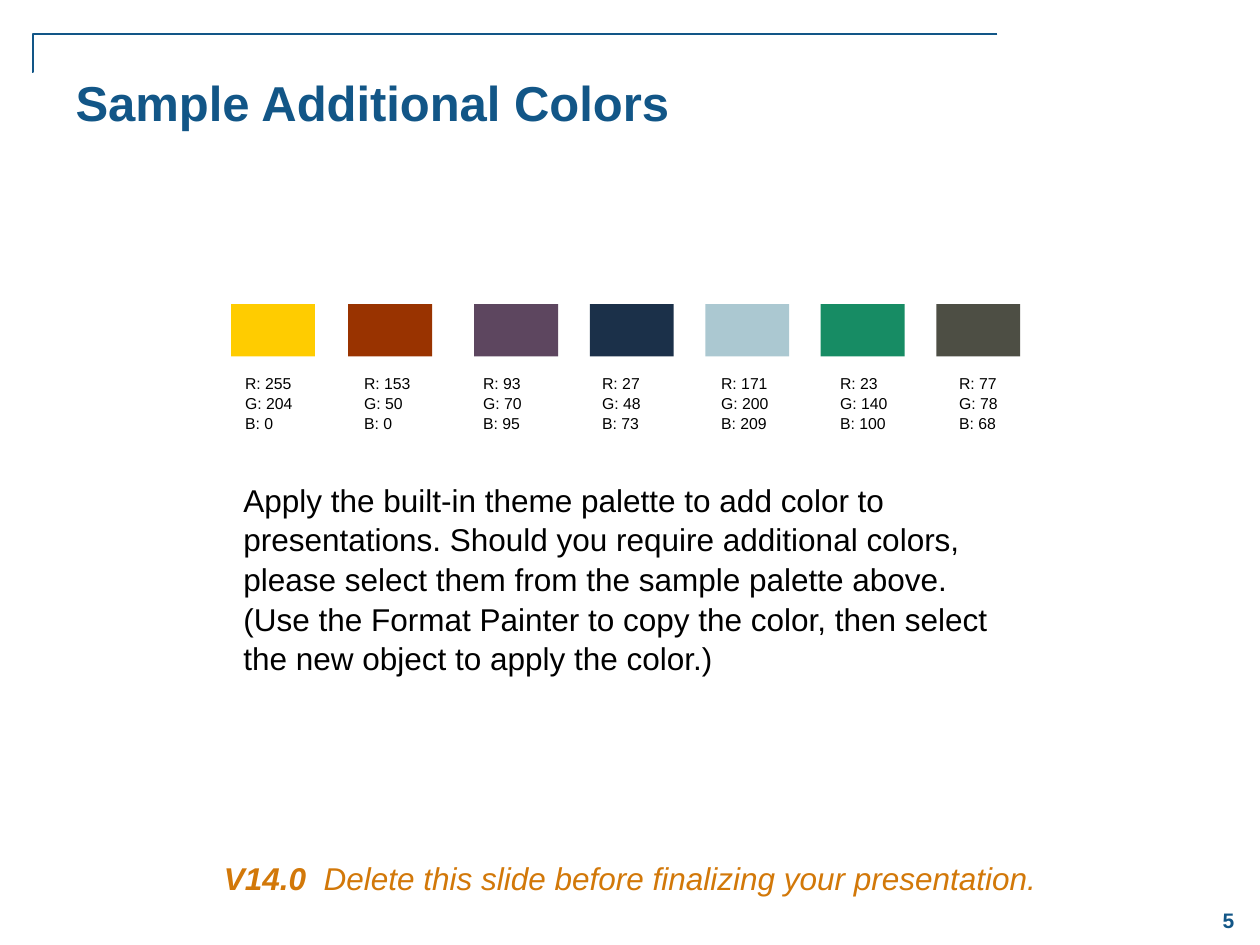
import pptx
import pptx.util
import pptx.dml.color
import pptx.enum.shapes
import pptx.enum.text
import lxml.etree
from dataclasses import dataclass

Pt = pptx.util.Pt
RGB = pptx.dml.color.RGBColor
Align = pptx.enum.text.PP_ALIGN
Anchor = pptx.enum.text.MSO_ANCHOR


@dataclass(frozen=True)
class Theme:
    font: str = "Arial"
    blue: str = "125687"
    black: str = "000000"
    amber: str = "D27809"
    head: int = 28
    body: int = 18
    page: int = 12
    note: int = 9
    lead: float = 1.05


T = Theme()

# Left edge and red, green, blue of each swatch
SWATCHES = [
    (132, (255, 204, 0)),
    (199, (153, 50, 0)),
    (271, (93, 70, 95)),
    (337, (27, 48, 73)),
    (403, (171, 200, 209)),
    (469, (23, 140, 100)),
    (535, (77, 78, 68)),
]
# Fill where it differs from the printed values
FILLS = {(153, 50, 0): (153, 51, 0)}


def write(frame, *lines, size=T.body, color=T.black, bold=False, italic=False,
          align=Align.LEFT, anchor=Anchor.TOP, wrap=True):
    """Fill a frame; a line is a string or a list of (string, bold) runs."""
    frame.word_wrap = wrap
    frame.vertical_anchor = anchor
    for i, line in enumerate(lines):
        para = frame.paragraphs[0] if i == 0 else frame.add_paragraph()
        para.alignment = align
        para.line_spacing = T.lead
        for words, heavy in [(line, bold)] if isinstance(line, str) else line:
            run = para.add_run()
            run.text = words
            font = run.font
            font.name, font.size = T.font, Pt(size)
            font.bold, font.italic = heavy, italic
            font.color.rgb = RGB.from_string(color)


def add_text(slide, box, *lines, **form):
    shape = slide.shapes.add_textbox(*map(Pt, box))
    write(shape.text_frame, *lines, **form)


def add_title(slide, box, words):
    title = slide.shapes.title
    title.left, title.top, title.width, title.height = map(Pt, box)
    write(title.text_frame, words, size=T.head, color=T.blue, bold=True)


def add_block(slide, box, rgb):
    kind = pptx.enum.shapes.MSO_SHAPE.RECTANGLE
    shape = slide.shapes.add_shape(kind, *map(Pt, box))
    shape.shadow.inherit = False
    shape.fill.solid()
    shape.fill.fore_color.rgb = RGB(*rgb)
    shape.line.fill.background()


def add_elbow(slide, start, end, bend):
    """Draw a bent line that turns at bend, in thousandths of a percent."""
    kind = pptx.enum.shapes.MSO_CONNECTOR.ELBOW
    line = slide.shapes.add_connector(kind, *map(Pt, start + end))
    line.line.color.rgb = RGB.from_string(T.blue)
    line.line.width = Pt(1)
    props = line._element.spPr
    space = "{%s}" % props.nsmap["a"]
    lxml.etree.SubElement(props, space + "effectLst")
    guides = props.find(f"{space}prstGeom/{space}avLst")
    lxml.etree.SubElement(guides, space + "gd", name="adj1", fmla=f"val {bend}")


def main():
    deck = pptx.Presentation()
    deck.slide_width, deck.slide_height = Pt(720), Pt(540)
    slide = deck.slides.add_slide(deck.slide_layouts[5])

    # Frame line, page number and title
    add_elbow(slide, (570, 19.5), (18.25, 41), 99900)
    add_text(slide, (684, 510.5, 36, 30), "5", size=T.page, color=T.blue,
             bold=True, align=Align.CENTER, anchor=Anchor.MIDDLE)
    add_title(slide, (36, 36, 636, 78), "Sample Additional Colors")

    # Swatches with their values
    for i, (left, rgb) in enumerate(SWATCHES):
        add_block(slide, (left, 173.75, 48, 30), FILLS.get(rgb, rgb))
        values = [f"{name}: {part}" for name, part in zip("RGB", rgb)]
        add_text(slide, (133 + 68 * i, 209.5, 42, 40), *values,
                 size=T.note, wrap=False)

    # Advice and footer
    add_text(slide, (132, 270, 456, 138),
             "Apply the built-in theme palette to add color to presentations. "
             "Should you require additional colors, please select them from "
             "the sample palette above. (Use the Format Painter to copy the "
             "color, then select the new object to apply the color.)")
    add_text(slide, (42, 486, 636, 29),
             [("V14.0", True),
              ("  Delete this slide before finalizing your presentation.", False)],
             color=T.amber, italic=True, align=Align.CENTER)

    deck.save("out.pptx")


if __name__ == "__main__":
    main()
